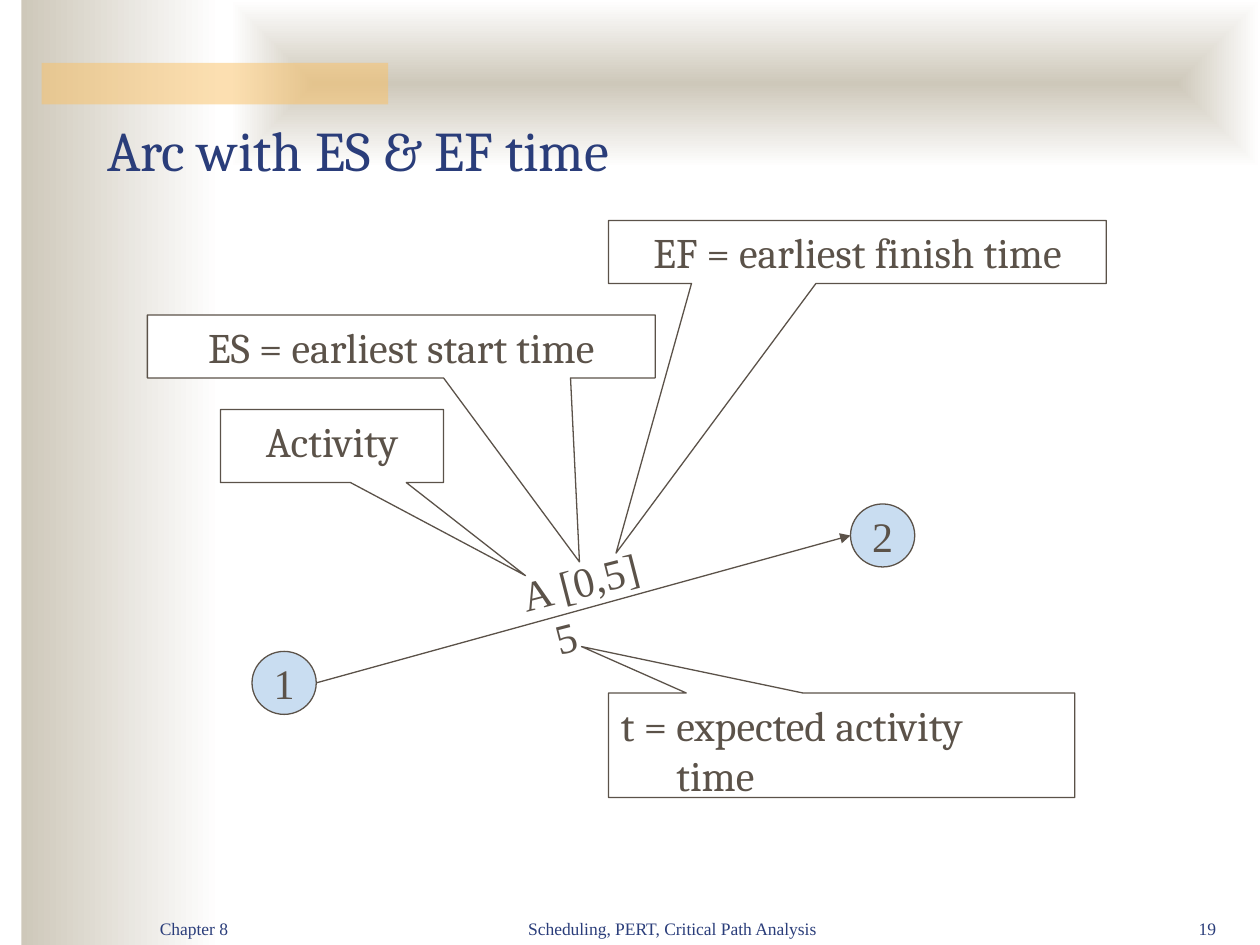
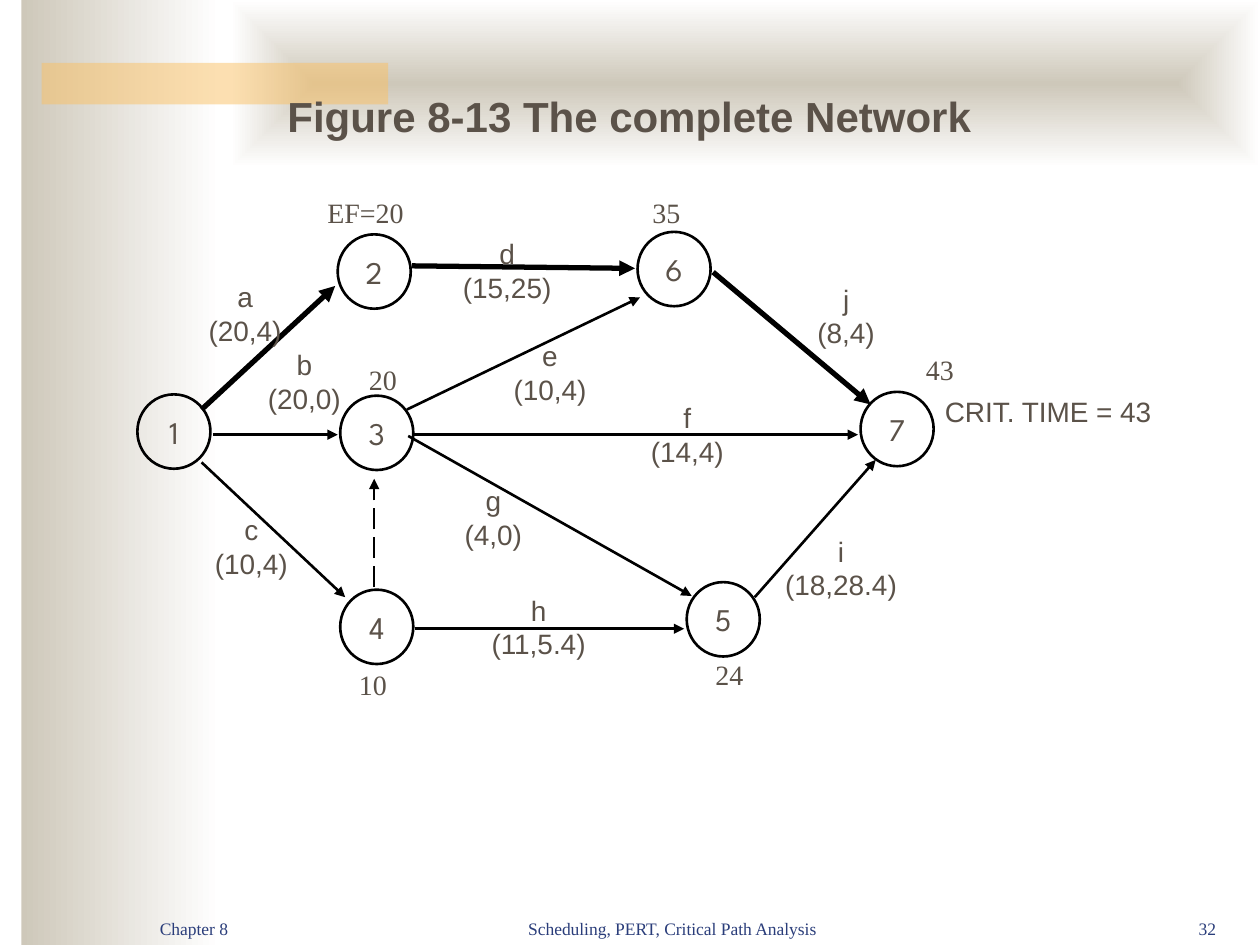
from lxml import etree
from pptx import Presentation
from pptx import util as u
from pptx.dml.color import RGBColor
from pptx.enum import dml, shapes, text
from pptx.oxml import ns

NAVY = RGBColor(0x2A, 0x3D, 0x7A)
BROWN = RGBColor(0x5B, 0x52, 0x49)
SAND = RGBColor(0xCE, 0xC8, 0xBA)
AMBER = RGBColor(0xFA, 0xC1, 0x64)
SKY = RGBColor(0xC9, 0xDD, 0xF1)
WHITE = RGBColor(0xFF, 0xFF, 0xFF)
BLACK = RGBColor(0, 0, 0)
SERIF, HEAD, SANS, NODE = "Times New Roman", "Cambria", "Arial", "League Spartan"
LEFT, CENTER, RIGHT = text.PP_ALIGN.LEFT, text.PP_ALIGN.CENTER, text.PP_ALIGN.RIGHT
TOP, MIDDLE, BOTTOM = (text.MSO_ANCHOR.TOP, text.MSO_ANCHOR.MIDDLE,
                       text.MSO_ANCHOR.BOTTOM)
SHAPE = shapes.MSO_SHAPE


def inches(*lengths):
    return [u.Inches(n) for n in lengths]


def child(parent, tag, **attrs):
    return etree.SubElement(parent, ns.qn(tag), attrs)


def write(sp, lines, size, font, color, align=LEFT, anchor=TOP, bold=False,
          indent=0, wrap=True):
    tf = sp.text_frame
    tf.word_wrap = wrap
    tf.auto_size = text.MSO_AUTO_SIZE.NONE
    tf.vertical_anchor = anchor
    for i, line in enumerate(lines):
        p = tf.paragraphs[0] if i == 0 else tf.add_paragraph()
        p.alignment = align
        if i and indent:
            p._p.get_or_add_pPr().set("marL", str(u.Inches(indent)))
        r = p.add_run()
        r.text = line
        r.font.size = u.Pt(size)
        r.font.name = font
        r.font.bold = bold
        r.font.color.rgb = color


def add_text(s, box, lines, *style, **options):
    sp = s.shapes.add_textbox(*inches(*box))
    write(sp, lines, *style, **options)
    return sp


def add_shape(s, kind, box, fill=None, line=None, width=0.74):
    sp = s.shapes.add_shape(kind, *inches(*box))
    sp.shadow.inherit = False
    if fill is None:
        sp.fill.background()
    else:
        sp.fill.solid()
        sp.fill.fore_color.rgb = fill
    if line is None:
        sp.line.fill.background()
    else:
        sp.line.color.rgb = line
        sp.line.width = u.Pt(width)
    return sp


def add_arrow(s, start, end, color, width, dashed=False):
    cx = s.shapes.add_connector(shapes.MSO_CONNECTOR.STRAIGHT,
                                *inches(*start, *end))
    cx.line.color.rgb = color
    cx.line.width = u.Pt(width)
    if dashed:
        cx.line.dash_style = dml.MSO_LINE.LONG_DASH
    spPr = cx._element.spPr
    child(spPr.get_or_add_ln(), "a:tailEnd", type="triangle")
    child(spPr, "a:effectLst")


def fade(sp):
    sp.fill.gradient()
    sp.fill.gradient_angle = 0
    for stop, color in zip(sp.fill.gradient_stops, (SAND, WHITE)):
        stop.color.rgb = color


def add_bands(s):
    side = add_shape(s, SHAPE.RECTANGLE, (0.17, 0, 1.58, 7.5))
    fade(side)
    top = add_shape(s, SHAPE.RECTANGLE, (1.83, 0, 8.17, 1.33))
    fade(top)
    lin = top._element.spPr.find(".//" + ns.qn("a:lin"))
    grad = lin.getparent()
    grad.remove(lin)
    center = child(grad, "a:path", path="rect")
    child(center, "a:fillToRect", l="50000", t="50000", r="50000", b="50000")
    accent = add_shape(s, SHAPE.RECTANGLE, (0.33, 0.5, 2.75, 0.33), AMBER)
    rgb = accent._element.spPr.find(".//" + ns.qn("a:srgbClr"))
    child(rgb, "a:alpha", val="50000")
    return side, top, accent


def share_bands(layout, s):
    for ph in list(layout.placeholders):
        if ph.placeholder_format.type != shapes.PP_PLACEHOLDER.TITLE:
            ph._element.getparent().remove(ph._element)
    for band in add_bands(s):
        layout.shapes._spTree.append(band._element)


def add_title(s, box, title, *style, **options):
    sp = s.shapes.title
    sp.left, sp.top, sp.width, sp.height = inches(*box)
    write(sp, [title], *style, **options)


def add_footer(s, number, top=7, height=0.5):
    for left, width, words, align in (
            (1.17, 2.08, "Chapter 8", LEFT),
            (3.75, 3.17, "Scheduling, PERT, Critical Path Analysis", CENTER),
            (8.75, 1, str(number), RIGHT)):
        add_text(s, (left, top, width, height), [words], 10, SERIF, NAVY,
                 align, BOTTOM)


def arc_diagram(s, x, y):
    for name, left, top in (("1", 1, 3.67), ("2", 5.75, 2.5)):
        sp = add_shape(s, SHAPE.FLOWCHART_CONNECTOR,
                       (x + left, y + top, 0.51, 0.5), SKY, BROWN)
        write(sp, [name], 24, SERIF, BROWN, CENTER, MIDDLE, wrap=False)
    add_arrow(s, (x + 1.51, y + 3.92), (x + 5.75, y + 2.75), BROWN, 0.74)
    label = add_text(s, (x + 3.08, y + 2.85, 1.18, 0.9), ["A [0,5]", "5"],
                     24, SERIF, BROWN, indent=0.17)
    label.rotation = 345.5
    callouts = (
        ((0.75, 1.75, 1.77, 0.58), (0.868, 1.774), ["Activity"], CENTER),
        ((0.17, 1, 4.03, 0.5), (0.351, 3.42),
         ["ES = earliest start time"], CENTER),
        ((3.83, 0.25, 3.95, 0.5), (-0.485, 4.781),
         ["EF = earliest finish time"], CENTER),
        ((3.83, 4, 3.7, 0.83), (-0.558, -0.944),
         ["t = expected activity", "time"], LEFT))
    for (left, top, width, height), tip, lines, align in callouts:
        sp = add_shape(s, SHAPE.RECTANGULAR_CALLOUT,
                       (x + left, y + top, width, height), WHITE, BROWN)
        sp.adjustments[0], sp.adjustments[1] = tip
        write(sp, lines, 24, HEAD, BROWN, align, indent=0.44)


def network_diagram(s, x, y):
    nodes = (("2", 1.68, 0.36), ("6", 4.06, 0.34), ("1", 0.09, 1.63),
             ("3", 1.7, 1.64), ("7", 5.83, 1.61), ("4", 1.7, 3.18),
             ("5", 4.45, 3.12))
    for name, left, top in nodes:
        sp = add_shape(s, SHAPE.OVAL, (x + left, y + top, 0.58, 0.59),
                       line=BLACK, width=1.5)
        write(sp, [name], 18, NODE, BROWN, CENTER, MIDDLE, wrap=False)

    critical = ((0.6, 1.75, 1.66, 0.77), (2.27, 0.61, 4.04, 0.63),
                (4.66, 0.66, 5.91, 1.71))
    normal = ((0.69, 1.95, 1.68, 1.95), (2.28, 1.95, 5.81, 1.95),
              (0.6, 2.17, 1.74, 3.24), (2.29, 3.49, 4.43, 3.49),
              (2.24, 1.96, 4.49, 3.23), (4.99, 3.24, 5.95, 2.15),
              (2.23, 1.75, 4.08, 0.86))
    dummy = ((1.97, 3.16, 1.97, 2.3),)
    for arcs, width, dashed in ((critical, 3, False), (normal, 1.5, False),
                                (dummy, 1.5, True)):
        for x1, y1, x2, y2 in arcs:
            add_arrow(s, (x + x1, y + y1), (x + x2, y + y2), BLACK, width,
                      dashed)

    activities = (("a", "(20,4)", 0.42, 0.67), ("b", "(20,0)", 0.89, 1.21),
                  ("c", "(10,4)", 0.47, 2.52), ("d", "(15,25)", 2.5, 0.33),
                  ("e", "(10,4)", 2.84, 1.14), ("f", "(14,4)", 3.93, 1.63),
                  ("g", "(4,0)", 2.39, 2.29), ("h", "(11,5.4)", 2.75, 3.16),
                  ("i", "(18,28.4)", 5.09, 2.69), ("j", "(8,4)", 5.19, 0.69))
    for name, times, left, top in activities:
        width = 1.17 if name == "i" else 1.05
        add_text(s, (x + left, y + top, width, 0.75), [name, times], 16,
                 SANS, BROWN, CENTER)

    finishes = (("EF=20", 1.5, 0), ("35", 4.08, 0), ("43", 6.25, 1.25),
                ("24", 4.58, 3.67), ("10", 1.75, 3.75), ("20", 1.83, 1.33))
    for words, left, top in finishes:
        width = 1.02 if "=" in words else 0.5
        add_text(s, (x + left, y + top, width, 0.37), [words], 16, SERIF,
                 BROWN)
    add_text(s, (x + 6.4, y + 1.58, 1.98, 0.42), ["CRIT. TIME = 43"], 16,
             SANS, BROWN)


prs = Presentation()
prs.slide_width, prs.slide_height = inches(10, 7.5)
title_only = prs.slide_layouts[5]

s = prs.slides.add_slide(title_only)
share_bands(title_only, s)
add_title(s, (0.75, 0.75, 8.58, 0.75), "Arc with ES & EF time", 32, HEAD,
          NAVY, anchor=BOTTOM)
add_footer(s, 19)
arc_diagram(s, 1, 1.5)

s = prs.slides.add_slide(title_only)
add_title(s, (0.83, 0.67, 8.33, 0.5), "Figure 8-13 The complete Network", 24,
          SANS, BROWN, CENTER, bold=True)
add_footer(s, 32)
network_diagram(s, 1, 1.5)

prs.save("out.pptx")
